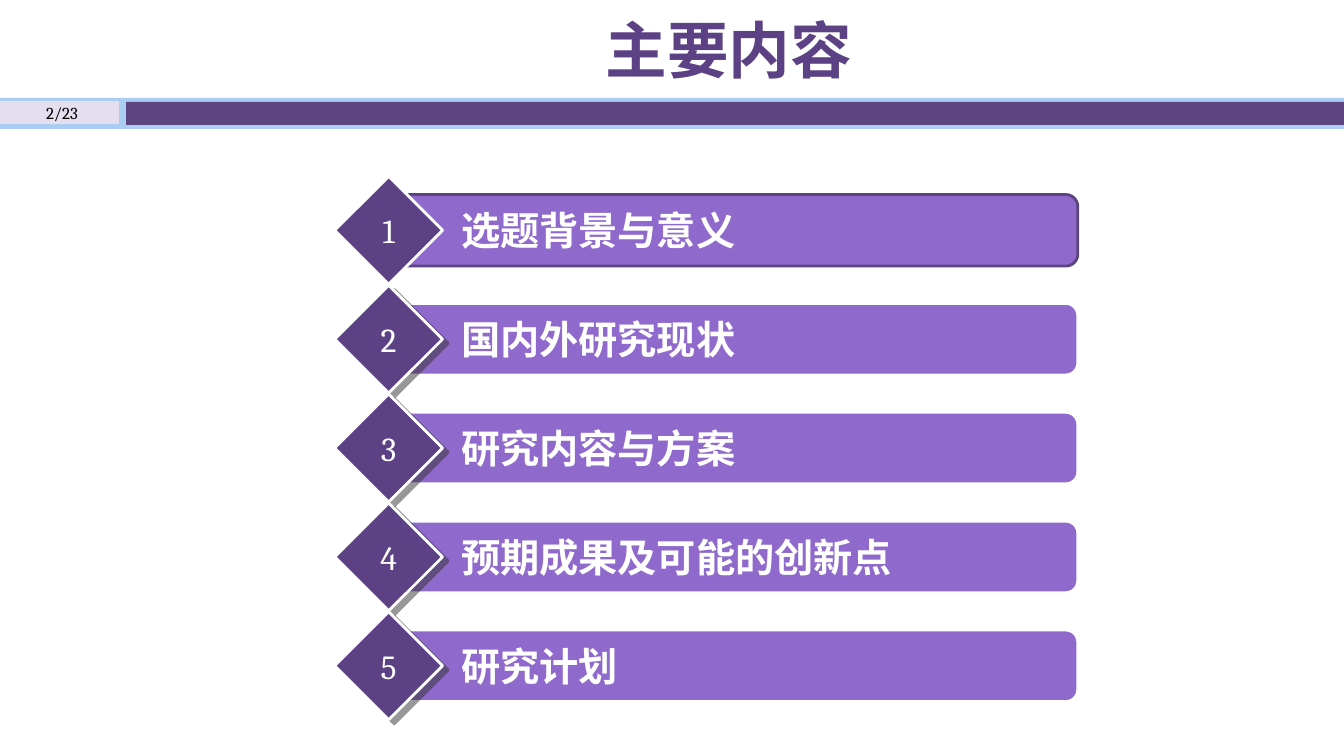
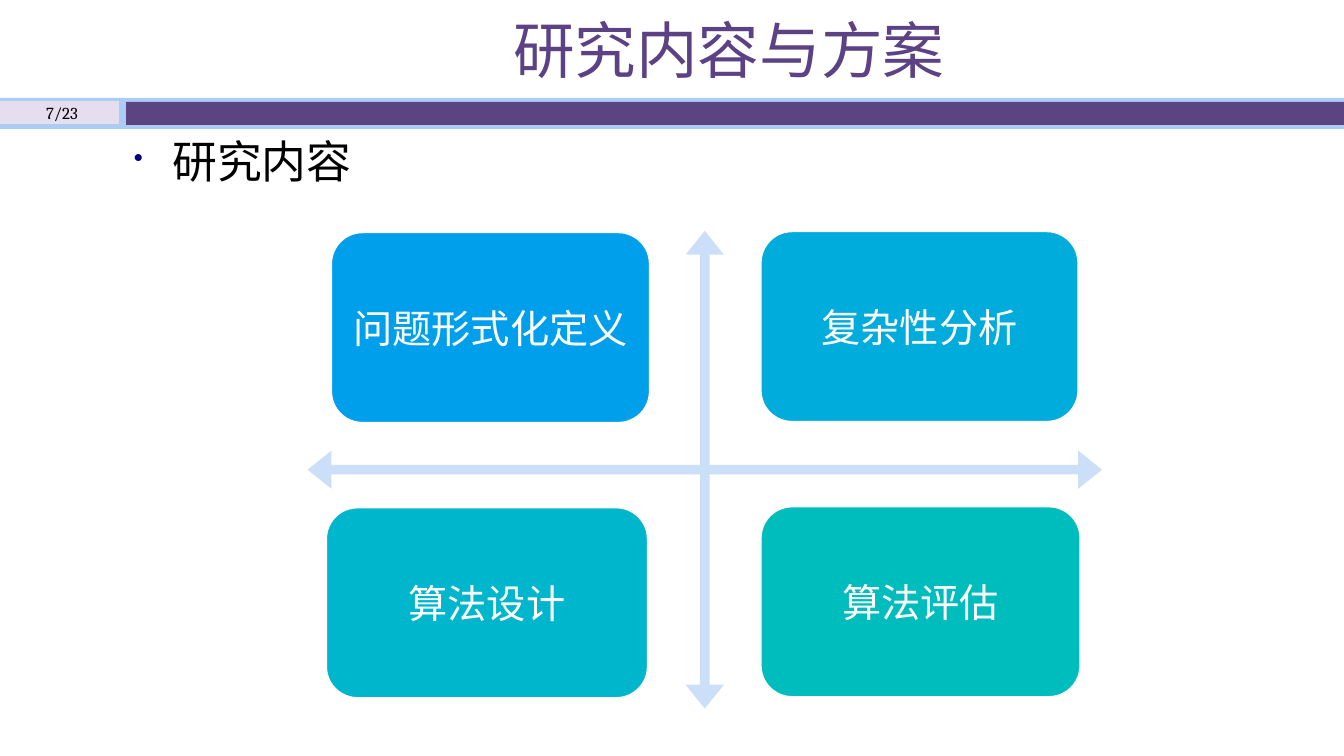
"""Build two slides of a thesis proposal: the agenda and the research content."""
from lxml.etree import SubElement
from pptx import Presentation
from pptx.dml.color import RGBColor
from pptx.enum.shapes import MSO_SHAPE
from pptx.enum.text import MSO_ANCHOR, PP_ALIGN
from pptx.oxml.ns import qn
from pptx.util import Inches, Pt

RECTANGLE = MSO_SHAPE.RECTANGLE
ROUNDED = MSO_SHAPE.ROUNDED_RECTANGLE
DIAMOND = MSO_SHAPE.DIAMOND
QUAD_ARROW = MSO_SHAPE.QUAD_ARROW
LEFT, CENTER = PP_ALIGN.LEFT, PP_ALIGN.CENTER
TOP, MIDDLE = MSO_ANCHOR.TOP, MSO_ANCHOR.MIDDLE

WHITE = RGBColor(0xFF, 0xFF, 0xFF)
BLACK = RGBColor(0x00, 0x00, 0x00)
PURPLE = RGBColor(0x5C, 0x42, 0x85)
BAND_PURPLE = RGBColor(0x5C, 0x43, 0x81)
BAND_BLUE = RGBColor(0xAB, 0xCD, 0xF4)
PAGE_LILAC = RGBColor(0xE5, 0xDE, 0xEF)
BAR_VIOLET = RGBColor(0x8F, 0x69, 0xCB)
ARROW_BLUE = RGBColor(0xCC, 0xDF, 0xF8)
BULLET_NAVY = RGBColor(0x00, 0x00, 0x82)
SHADOW_GREY = RGBColor(0x33, 0x33, 0x33)

SANS, SERIF, TITLE_FONT = "Noto Sans CJK SC", "Cambria", "Calibri"
PAGE_COUNT = 23

BANDS = [
    ((0, 0.97, 13.33, 0.31), BAND_BLUE),
    ((0, 1, 1.18, 0.23), PAGE_LILAC),
    ((1.25, 1.01, 12.08, 0.23), BAND_PURPLE),
]
AGENDA = ["选题背景与意义", "国内外研究现状", "研究内容与方案", "预期成果及可能的创新点", "研究计划"]
AGENDA_TOP, AGENDA_PITCH = 1.75, 1.08
TOPICS = [
    ("问题形式化定义", (3.28, 2.3, 3.17, 1.9), RGBColor(0x00, 0x9F, 0xEC)),
    ("复杂性分析", (7.54, 2.29, 3.16, 1.9), RGBColor(0x00, 0xAC, 0xDC)),
    ("算法设计", (3.23, 5.03, 3.2, 1.9), RGBColor(0x00, 0xB6, 0xCD)),
    ("算法评估", (7.54, 5.02, 3.18, 1.9), RGBColor(0x00, 0xBD, 0xBD)),
]


def set_all(target, values):
    """Set every attribute named in a dict."""
    for name, value in values.items():
        setattr(target, name, value)


def write(shape, text, size, color, font=SANS, bold=False, align=CENTER,
          anchor=MIDDLE, **margins):
    """Write one formatted paragraph into a shape and return it."""
    frame = shape.text_frame
    set_all(frame, {"word_wrap": True, "vertical_anchor": anchor, **margins})
    para = frame.paragraphs[0]
    para.alignment = align
    span = para.add_run()
    span.text = text
    set_all(span.font, {"size": Pt(size), "bold": bold, "name": font})
    span.font.color.rgb = color
    SubElement(span._r.get_or_add_rPr(), qn("a:ea"), typeface=SANS)
    return para


def add_block(page, kind, place, fill, line=None):
    """Add a flat preset shape, with a 2 pt outline if a line colour is given."""
    block = page.shapes.add_shape(kind, *map(Inches, place))
    block.shadow.inherit = False
    block.fill.solid()
    block.fill.fore_color.rgb = fill
    if line is None:
        block.line.fill.background()
    else:
        block.line.color.rgb = line
        block.line.width = Pt(2)
    return block


def add_shadow(shape):
    """Give a shape a hard, half transparent shadow to the lower right."""
    effects = shape.element.spPr.find(qn("a:effectLst"))
    shadow = SubElement(effects, qn("a:outerShdw"), blurRad="0", dist=str(Pt(5)),
                        dir=str(37 * 60000), algn="ctr", rotWithShape="0")
    color = SubElement(shadow, qn("a:srgbClr"), val=str(SHADOW_GREY))
    SubElement(color, qn("a:alpha"), val="50000")


def add_bullet(para):
    """Give a paragraph a small navy bullet and a hanging indent."""
    props = para._p.get_or_add_pPr()
    props.set("marL", str(Inches(0.38)))
    props.set("indent", str(-Inches(0.38)))
    color = SubElement(props, qn("a:buClr"))
    SubElement(color, qn("a:srgbClr"), val=str(BULLET_NAVY))
    SubElement(props, qn("a:buSzPct"), val="60000")
    SubElement(props, qn("a:buChar"), char="•")


def add_text(page, place, text, size, color, **style):
    """Add a text box holding one paragraph and return the paragraph."""
    box = page.shapes.add_textbox(*map(Inches, place))
    return write(box, text, size, color, **style)


def add_bands(page, layout):
    """Draw the header bands once and hand them to the shared layout."""
    for place, fill in BANDS:
        layout.shapes.element.append(add_block(page, RECTANGLE, place, fill).element)


def add_heading(page, text, number, bold=False):
    """Place the title and the page number."""
    title = page.shapes.title
    set_all(title, {"left": Inches(1.23), "top": Inches(0.03),
                    "width": Inches(12), "height": Inches(0.9)})
    write(title, text, 44, PURPLE, font=TITLE_FONT, bold=bold)
    add_text(page, (0, 0.96, 1.23, 0.31), f"{number}/{PAGE_COUNT}", 12, BLACK, font=SERIF)


def add_agenda_item(page, index, text):
    """Add a numbered diamond on a bar; the first one is the current item."""
    top = AGENDA_TOP + index * AGENDA_PITCH
    current = index == 0
    bar = add_block(page, ROUNDED, (3.91, top + 0.18, 6.78, 0.71), BAR_VIOLET,
                    BAND_PURPLE if current else WHITE)
    write(bar, text, 28, WHITE, bold=True, align=LEFT, margin_left=Inches(0.63))
    diamond = add_block(page, DIAMOND, (3.32, top, 1.07, 1.07), PURPLE, WHITE)
    write(diamond, str(index + 1), 24, WHITE, font=SERIF, margin_left=0,
          margin_right=0, margin_top=0, margin_bottom=0)
    if not current:
        add_shadow(diamond)


def add_topic_matrix(page):
    """Add the four topics around a four-way arrow."""
    arrow = add_block(page, QUAD_ARROW, (3.05, 2.29, 7.88, 4.74), ARROW_BLUE)
    for index, value in enumerate((0.02, 0.04, 0.05)):
        arrow.adjustments[index] = value
    for text, place, fill in TOPICS:
        write(add_block(page, ROUNDED, place, fill, WHITE), text, 28, WHITE)


def main():
    """Build and save the deck."""
    deck = Presentation()
    set_all(deck, {"slide_width": Inches(13.33), "slide_height": Inches(7.5)})
    layout = deck.slide_layouts.get_by_name("Title Only")

    agenda = deck.slides.add_slide(layout)
    add_bands(agenda, layout)
    add_heading(agenda, "主要内容", 2, bold=True)
    for index, text in enumerate(AGENDA):
        add_agenda_item(agenda, index, text)

    content = deck.slides.add_slide(layout)
    add_heading(content, "研究内容与方案", 7)
    add_bullet(add_text(content, (1.23, 1.28, 12, 0.83), "研究内容", 32, BLACK,
                        align=LEFT, anchor=TOP))
    add_topic_matrix(content)

    deck.save("out.pptx")


if __name__ == "__main__":
    main()
